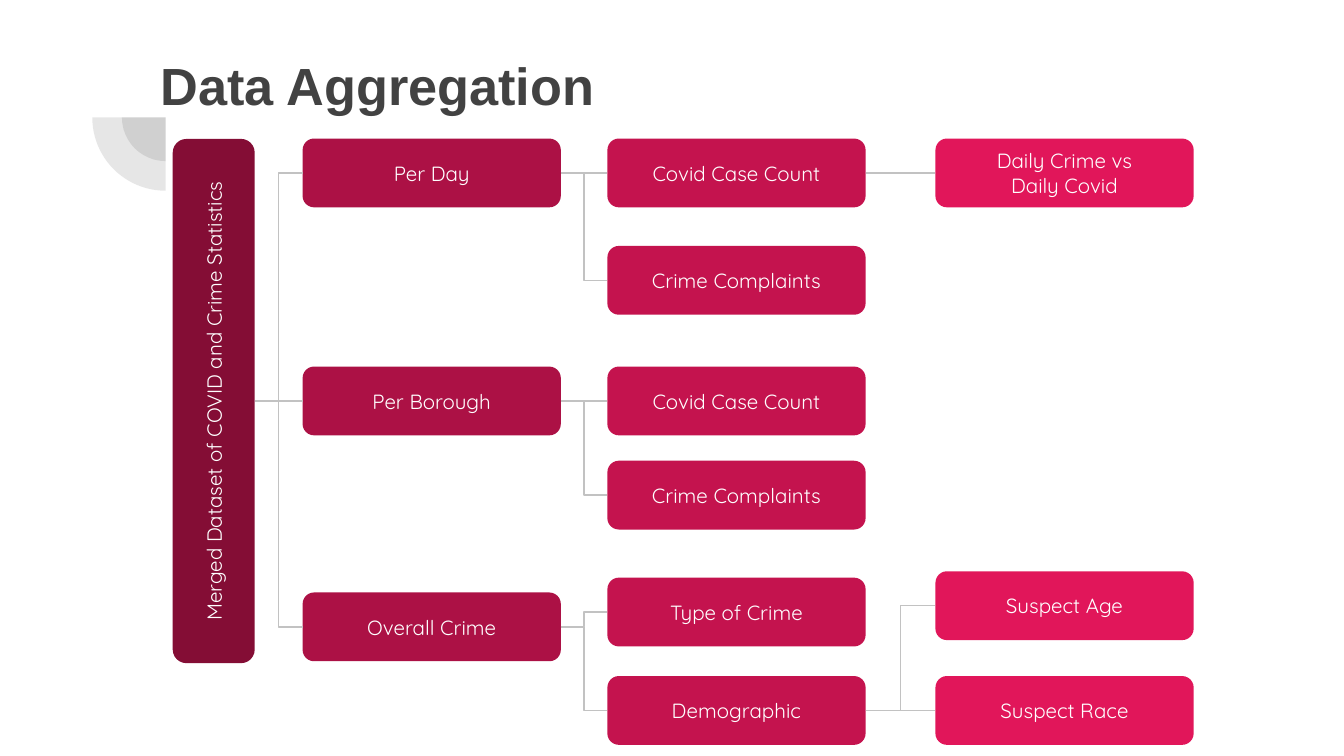
from dataclasses import dataclass

from lxml import etree
from pptx import Presentation
from pptx import util as u
from pptx.dml.color import RGBColor
from pptx.enum import shapes, text
from pptx.oxml.ns import qn
from pptx.shapes.autoshape import Shape
from pptx.slide import Slide


@dataclass(frozen=True)
class Theme:
    ink: str = "424242"
    connector: str = "C2C2C2"
    box_text: str = "FFFFFF"
    root: str = "840D35"
    levels: tuple[str, ...] = ("AC1145", "C4134E", "E1165A")
    title_font: str = "Arial"
    box_font: str = "Quicksand"
    title_size: int = 28
    box_size: int = 11
    line_width: float = 0.75
    arc_alpha: int = 13000


@dataclass(frozen=True)
class Node:
    label: str
    top: float
    children: tuple["Node", ...] = ()


THEME = Theme()

# Lengths in centimetres
COLUMN_LEFTS = (5.72, 11.48, 17.68)
BOX_WIDTH, BOX_HEIGHT = 4.88, 1.3
ROOT_CENTER, ROOT_LENGTH, ROOT_THICKNESS = (4.04, 7.58), 9.91, 1.55
ARC_CENTER, ARC_DIAMETERS = (3.13, 2.22), (1.65, 2.77)

ROOT_LABEL = "Merged Dataset of COVID and Crime Statistics"
BRANCHES = (
    Node("Per Day", 2.62, (
        Node("Covid Case Count", 2.62, (Node("Daily Crime vs\nDaily Covid", 2.62),)),
        Node("Crime Complaints", 4.65),
    )),
    Node("Per Borough", 6.93, (
        Node("Covid Case Count", 6.93),
        Node("Crime Complaints", 8.71),
    )),
    Node("Overall Crime", 11.2, (
        Node("Type of Crime", 10.92),
        Node("Demographic", 12.78, (
            Node("Suspect Age", 10.8),
            Node("Suspect Race", 12.78),
        )),
    )),
)


def add_filled(slide: Slide, kind: shapes.MSO_SHAPE, left: float, top: float,
               width: float, height: float, color: str) -> Shape:
    shape = slide.shapes.add_shape(kind, u.Cm(left), u.Cm(top), u.Cm(width), u.Cm(height))
    shape.shadow.inherit = False
    shape.fill.solid()
    shape.fill.fore_color.rgb = RGBColor.from_string(color)
    shape.line.fill.background()
    return shape


def add_arc(slide: Slide, diameter: float) -> None:
    """Translucent quarter disc facing down and left."""
    center_x, center_y = ARC_CENTER
    arc = add_filled(slide, shapes.MSO_SHAPE.PIE, center_x - diameter / 2,
                     center_y - diameter / 2, diameter, diameter, THEME.ink)
    arc.adjustments[0], arc.adjustments[1] = 108, 162
    arc.rotation = 270
    color = arc.fill._xPr.find(qn("a:solidFill")).find(qn("a:srgbClr"))
    etree.SubElement(color, qn("a:alpha")).set("val", str(THEME.arc_alpha))


def add_title(slide: Slide, title: str) -> None:
    shape = slide.shapes.title
    shape.left, shape.top = u.Cm(2.79), u.Cm(0.64)
    shape.width, shape.height = u.Cm(18.85), u.Cm(2.62)
    frame = shape.text_frame
    frame.text = title
    frame.auto_size = text.MSO_AUTO_SIZE.NONE
    frame.vertical_anchor = text.MSO_ANCHOR.TOP
    frame.margin_left = frame.margin_right = u.Cm(0.25)
    frame.margin_top = frame.margin_bottom = u.Cm(0.25)
    paragraph = frame.paragraphs[0]
    paragraph.alignment = text.PP_ALIGN.LEFT
    paragraph.line_spacing = 1.1
    paragraph.font.name = THEME.title_font
    paragraph.font.size = u.Pt(THEME.title_size)
    paragraph.font.bold = True
    paragraph.font.color.rgb = RGBColor.from_string(THEME.ink)


def add_box(slide: Slide, label: str, left: float, top: float,
            width: float, height: float, color: str) -> Shape:
    box = add_filled(slide, shapes.MSO_SHAPE.ROUNDED_RECTANGLE,
                     left, top, width, height, color)
    frame = box.text_frame
    frame.text = label
    frame.word_wrap = True
    frame.vertical_anchor = text.MSO_ANCHOR.MIDDLE
    frame.margin_left = frame.margin_right = u.Cm(0.25)
    frame.margin_top = frame.margin_bottom = u.Cm(0.25)
    for paragraph in frame.paragraphs:
        paragraph.alignment = text.PP_ALIGN.CENTER
        paragraph.font.name = THEME.box_font
        paragraph.font.size = u.Pt(THEME.box_size)
        paragraph.font.color.rgb = RGBColor.from_string(THEME.box_text)
    return box


def add_link(slide: Slide, parent: Shape, child: Shape) -> None:
    """Elbow line from the parent's right side to the child's left side."""
    visible_width = parent.height if parent.rotation else parent.width
    begin_x = parent.left + (parent.width + visible_width) // 2
    begin_y = parent.top + parent.height // 2
    link = slide.shapes.add_connector(shapes.MSO_CONNECTOR.ELBOW, begin_x, begin_y,
                                      child.left, child.top + child.height // 2)
    if not parent.rotation:
        link.begin_connect(parent, 3)
    link.end_connect(child, 1)
    link.line.color.rgb = RGBColor.from_string(THEME.connector)
    link.line.width = u.Pt(THEME.line_width)
    etree.SubElement(link._element.spPr, qn("a:effectLst"))


def add_branches(slide: Slide, parent: Shape, nodes: tuple[Node, ...], level: int = 0) -> None:
    for node in nodes:
        box = add_box(slide, node.label, COLUMN_LEFTS[level], node.top,
                      BOX_WIDTH, BOX_HEIGHT, THEME.levels[level])
        add_link(slide, parent, box)
        add_branches(slide, box, node.children, level + 1)


def main() -> None:
    presentation = Presentation()
    presentation.slide_width, presentation.slide_height = u.Cm(25.4), u.Cm(14.29)
    slide = presentation.slides.add_slide(presentation.slide_layouts[5])

    # Corner decoration and title
    for diameter in ARC_DIAMETERS:
        add_arc(slide, diameter)
    add_title(slide, "Data Aggregation")

    # Tree: upright root bar, then its branches
    center_x, center_y = ROOT_CENTER
    root = add_box(slide, ROOT_LABEL, center_x - ROOT_LENGTH / 2,
                   center_y - ROOT_THICKNESS / 2, ROOT_LENGTH, ROOT_THICKNESS, THEME.root)
    root.rotation = 270
    add_branches(slide, root, BRANCHES)

    presentation.save("out.pptx")


if __name__ == "__main__":
    main()
